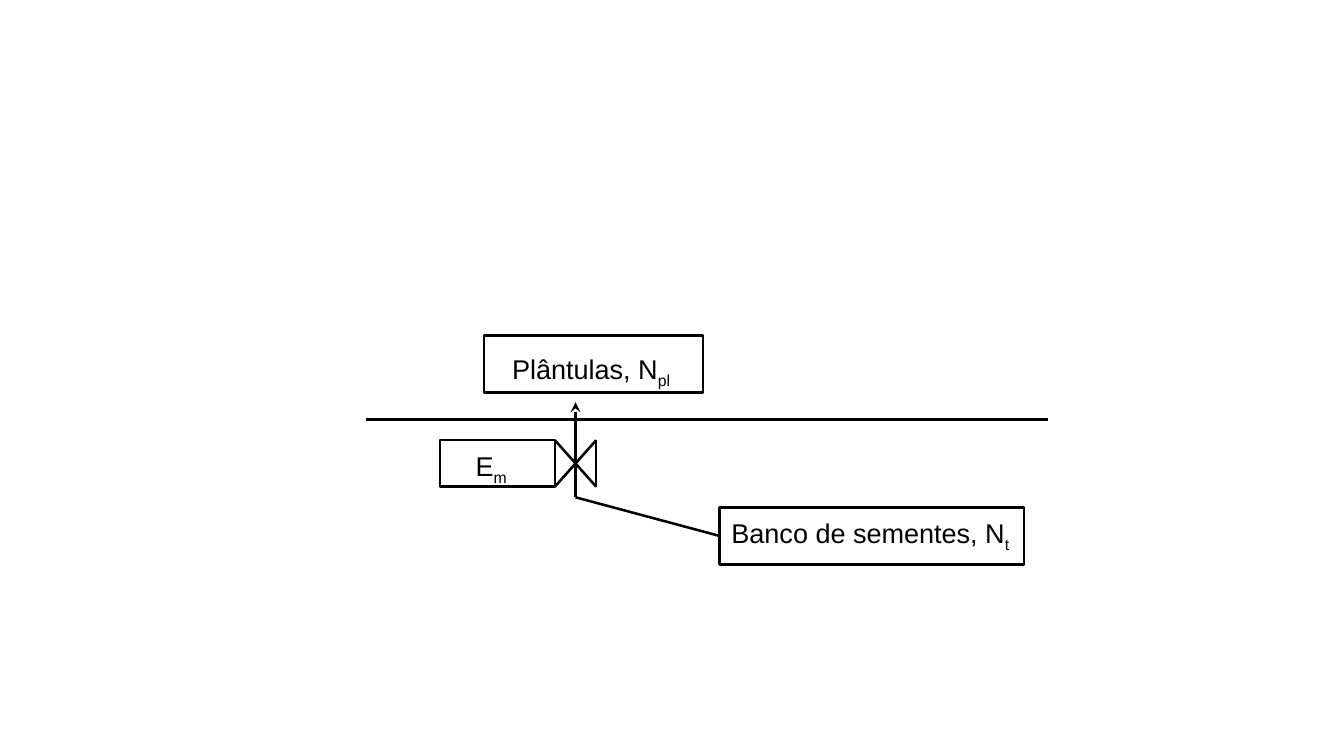
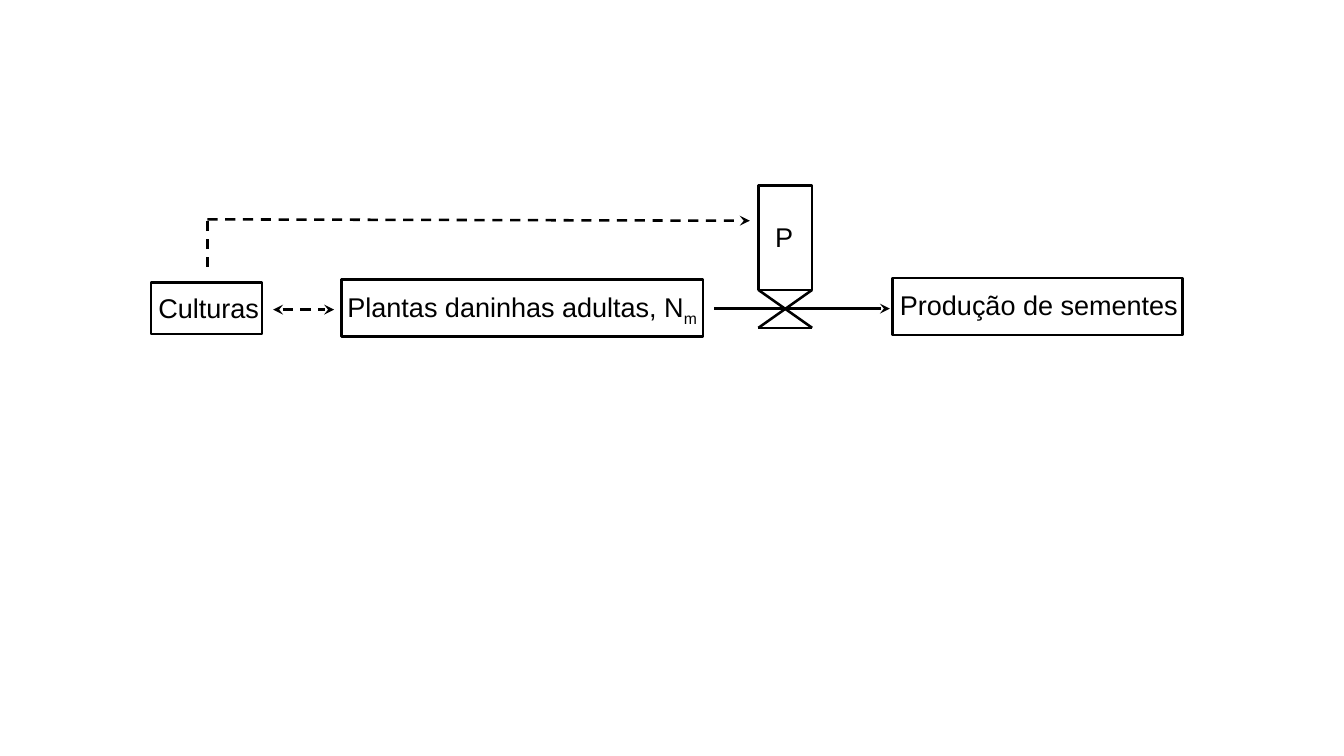
import pptx
import pptx.dml.color
import pptx.enum.dml
import pptx.enum.shapes
import pptx.enum.text
import pptx.oxml
import pptx.oxml.ns
import pptx.util

Cm = pptx.util.Cm
Pt = pptx.util.Pt
COLORS = {"ink": "000000", "paper": "FFFFFF"}
INK = pptx.dml.color.RGBColor.from_string(COLORS["ink"])
FONT = "Arial"
TEXT_SIZE = Pt(16)
LINE_WIDTH = Pt(1.5)


def add_box(shapes, left, top, width, height, label, subscript, indent, drop):
    """Outlined box whose label starts indent and drop inside its top left corner."""
    box = shapes.add_shape(pptx.enum.shapes.MSO_SHAPE.RECTANGLE,
                           Cm(left), Cm(top), Cm(width), Cm(height))
    box.shadow.inherit = False
    box.fill.background()
    box.line.color.rgb = INK
    box.line.width = LINE_WIDTH
    frame = box.text_frame
    frame.word_wrap = True
    frame.vertical_anchor = pptx.enum.text.MSO_ANCHOR.TOP
    frame.margin_left, frame.margin_top = Cm(indent), Cm(drop)
    frame.margin_right = frame.margin_bottom = 0
    paragraph = frame.paragraphs[0]
    paragraph.alignment = pptx.enum.text.PP_ALIGN.LEFT
    for text, baseline in ((label, None), (subscript, "-25000")):
        if not text:
            continue
        run = paragraph.add_run()
        run.text = text
        run.font.name = FONT
        run.font.size = TEXT_SIZE
        run.font.color.rgb = INK
        if baseline:
            run._r.get_or_add_rPr().set("baseline", baseline)
    return box


def add_line(shapes, x1, y1, x2, y2, dashed=False, arrows=()):
    """Straight line; arrows lists the ends (headEnd, tailEnd) that get a tip."""
    line = shapes.add_connector(pptx.enum.shapes.MSO_CONNECTOR.STRAIGHT,
                                Cm(x1), Cm(y1), Cm(x2), Cm(y2))
    line.line.color.rgb = INK
    line.line.width = LINE_WIDTH
    if dashed:
        line.line.dash_style = pptx.enum.dml.MSO_LINE.DASH
    properties = line._element.spPr
    outline = properties.find(pptx.oxml.ns.qn("a:ln"))
    namespace = pptx.oxml.ns.nsdecls("a")
    for end in arrows:
        outline.append(pptx.oxml.parse_xml(f'<a:{end} {namespace} type="stealth"/>'))
    properties.append(pptx.oxml.parse_xml(f"<a:effectLst {namespace}/>"))
    return line


deck = pptx.Presentation()
deck.slide_width, deck.slide_height = Cm(28), Cm(15.75)
background = deck.slide_master.background.fill
background.solid()
background.fore_color.rgb = pptx.dml.color.RGBColor.from_string(COLORS["paper"])
blank = deck.slide_layouts[6]

# Seedling emergence from the seed bank
emergence = deck.slides.add_slide(blank).shapes
add_line(emergence, 7.62, 8.74, 21.84, 8.74)
add_box(emergence, 10.08, 6.99, 4.57, 1.19, "Plântulas, N", "pl", 0.59, 0.35)
seed_bank = add_box(emergence, 14.99, 10.57, 6.35, 1.19,
                    "Banco de sementes, N", "t", 0.25, 0.2)

emergence_gate = emergence.add_group_shape().shapes
add_box(emergence_gate, 9.17, 9.17, 2.39, 0.97, "E", "m", 0.74, 0.2)
left, right, top, bottom = 11.56, 12.42, 9.17, 10.14
for ends in ((left, top, right, bottom), (left, bottom, right, top),
             (right, top, right, bottom)):
    add_line(emergence_gate, *ends)

bend_x, bend_y = 11.99, 10.36
seed_flow = add_line(emergence, 14.99, 11.16, bend_x, bend_y)
seed_flow.begin_connect(seed_bank, 1)
add_line(emergence, bend_x, bend_y, bend_x, 8.38, arrows=["tailEnd"])

# Seed production by adult weeds
production = deck.slides.add_slide(blank).shapes
for box in (
    (3.15, 5.89, 2.31, 1.07, "Culturas", "", 0.15, 0.18),
    (7.11, 5.82, 7.54, 1.19, "Plantas daninhas adultas, N", "m", 0.13, 0.23),
    (18.59, 5.79, 6.05, 1.19, "Produção de sementes", "", 0.16, 0.23),
):
    add_box(production, *box)

production_gate = production.add_group_shape().shapes
add_box(production_gate, 15.8, 3.86, 1.12, 2.18, "P", "", 0.35, 0.74)
left, right, top, bottom = 15.8, 16.92, 6.04, 6.83
for ends in ((left, top, right, bottom), (left, bottom, right, top),
             (left, bottom, right, bottom)):
    add_line(production_gate, *ends)

add_line(production, 14.88, 6.43, 18.54, 6.43, arrows=["tailEnd"])
add_line(production, 5.69, 6.45, 6.96, 6.45, dashed=True, arrows=["headEnd", "tailEnd"])
add_line(production, 4.32, 5.56, 4.32, 4.57, dashed=True)
add_line(production, 4.32, 4.57, 15.62, 4.6, dashed=True, arrows=["tailEnd"])

deck.save("out.pptx")
